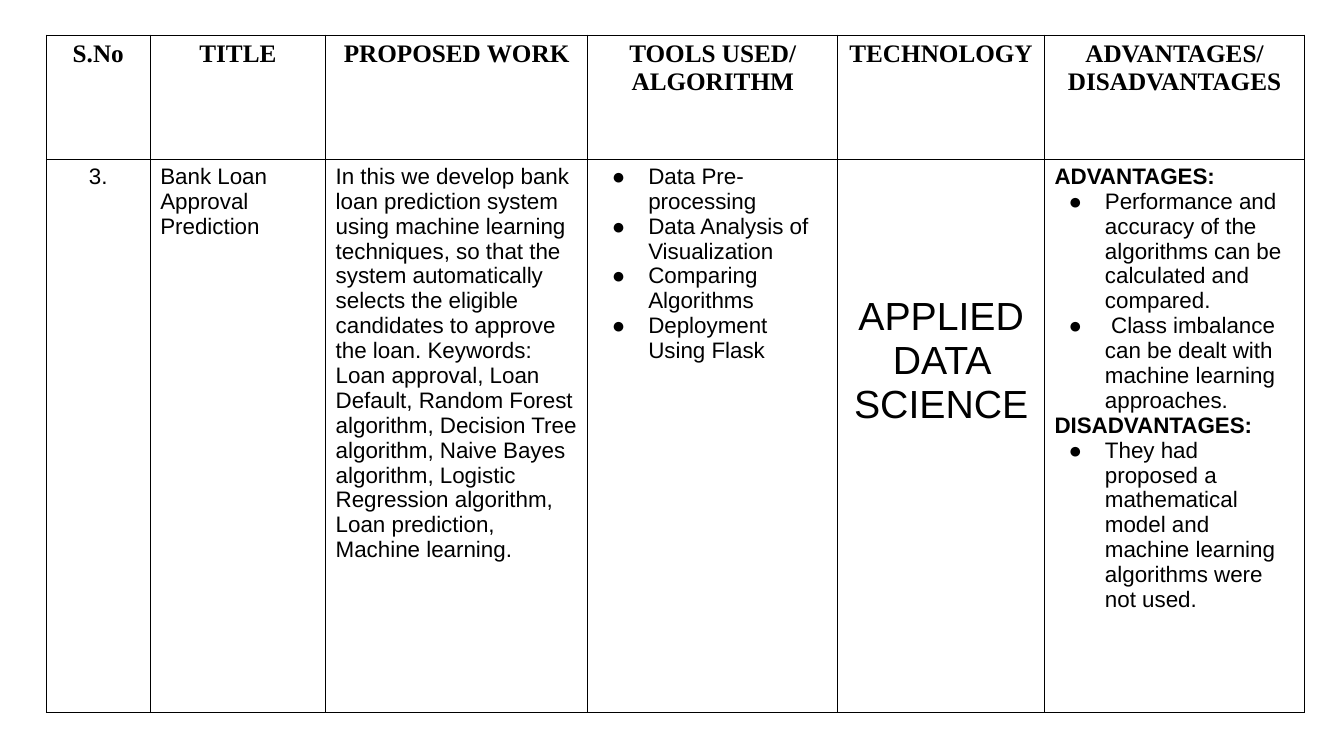
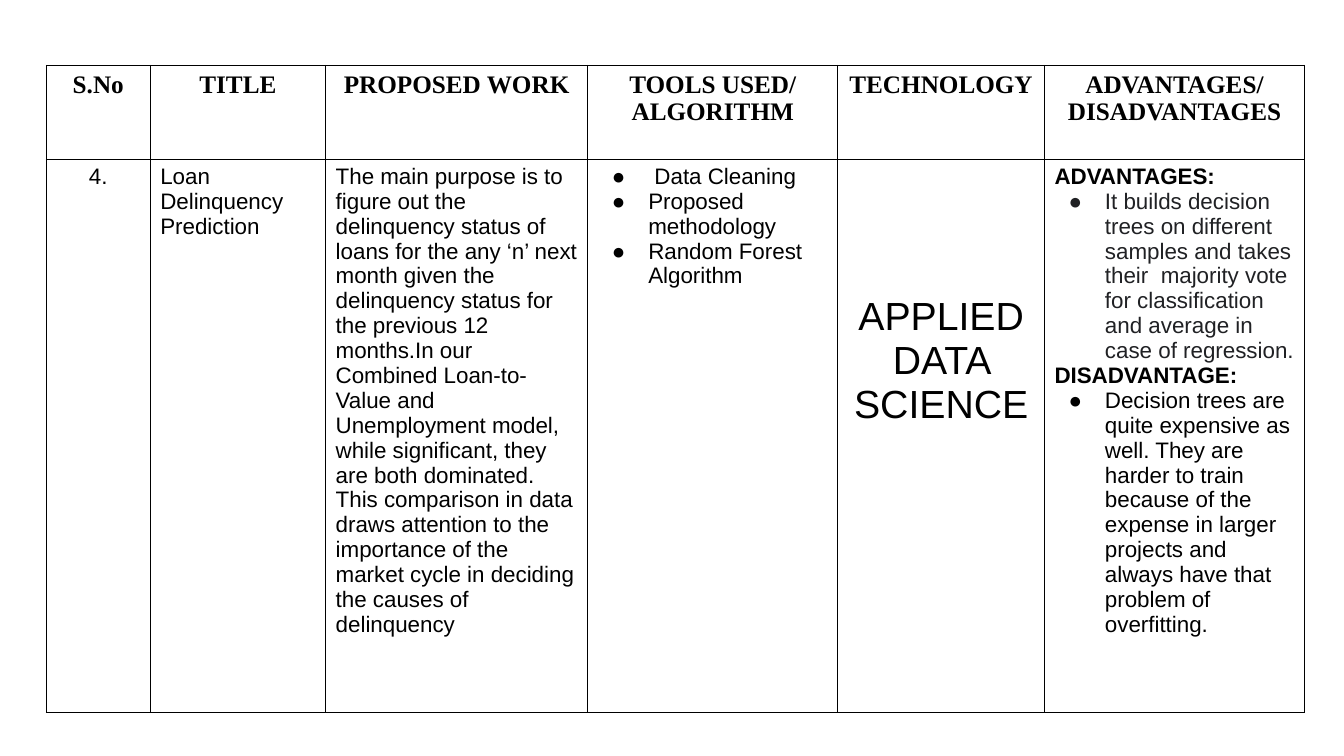
from pptx import Presentation
from pptx.dml.color import RGBColor
from pptx.enum.text import PP_ALIGN
from pptx.oxml.ns import qn
from pptx.util import Inches, Pt
from lxml.etree import SubElement

COLORS = {"text": "000000", "soft": "202124", "border": "000000", "cell": "FFFFFF"}

FORMATS = {
    "header": {"name": "Times New Roman", "size": Pt(18), "bold": True},
    "body": {"name": "Arial", "size": Pt(16), "bold": False},
    "label": {"name": "Arial", "size": Pt(16), "bold": True},
    "large": {"name": "Arial", "size": Pt(28), "bold": False},
}
STYLES = {
    "header": {"format": "header", "align": PP_ALIGN.CENTER},
    "number": {"format": "body", "align": PP_ALIGN.CENTER},
    "body": {"format": "body"},
    "label": {"format": "label"},
    "bullet": {"format": "body", "bullet": True},
    "soft bullet": {"format": "body", "bullet": True, "color": "soft"},
    "large": {"format": "large", "align": PP_ALIGN.CENTER},
}
HEADERS = [
    ["S.No"],
    ["TITLE"],
    ["PROPOSED WORK"],
    ["TOOLS USED/", "ALGORITHM"],
    ["TECHNOLOGY"],
    ["ADVANTAGES/ DISADVANTAGES"],
]
TECHNOLOGY = "APPLIED DATA SCIENCE"
TECHNOLOGY_COLUMN = 4
COLUMN_WIDTHS = [1.03, 1.74, 2.6, 2.48, 2.05, 2.58]
TABLE_LEFT = 0.46
BODY_TOP = 1.58
BODY_HEIGHT = 5.49
TECHNOLOGY_MARGIN = 1.35

PAPERS = [
    {
        "top": 0.35,
        "number": "3.",
        "title": "Bank Loan Approval Prediction",
        "work": "In this we develop bank loan prediction system using machine "
                "learning techniques, so that the system automatically selects the "
                "eligible candidates to approve the loan. Keywords: Loan approval, "
                "Loan Default, Random Forest algorithm, Decision Tree algorithm, "
                "Naive Bayes algorithm, Logistic Regression algorithm, Loan "
                "prediction, Machine learning.",
        "tools": ["Data Pre-processing", "Data Analysis of Visualization",
                  "Comparing Algorithms", "Deployment Using Flask"],
        "review": [
            ("label", "ADVANTAGES:"),
            ("bullet", "Performance and accuracy of the algorithms can be "
                       "calculated and compared."),
            ("bullet", " Class imbalance can be dealt with machine learning "
                       "approaches."),
            ("label", "DISADVANTAGES:"),
            ("bullet", "They had proposed a mathematical model and machine "
                       "learning algorithms were not used."),
        ],
    },
    {
        "top": 0.65,
        "number": "4.",
        "title": "Loan Delinquency Prediction",
        "work": "The main purpose is to figure out the delinquency status of loans "
                "for the any ‘n’ next month given the delinquency status for the "
                "previous 12 months.In our Combined Loan-to-Value and Unemployment "
                "model, while significant, they are both dominated. This comparison "
                "in data draws attention to the importance of the market cycle in "
                "deciding the causes of delinquency",
        "tools": [" Data Cleaning", "Proposed methodology",
                  "Random Forest Algorithm"],
        "review": [
            ("label", "ADVANTAGES:"),
            ("soft bullet", "It builds decision trees on different samples and takes "
                            "their  majority vote for classification and average in "
                            "case of regression."),
            ("label", "DISADVANTAGE:"),
            ("bullet", "Decision trees are quite expensive as well. They are harder "
                       "to train because of the expense in larger projects and "
                       "always have that problem of overfitting."),
        ],
    },
]


class Deck:
    def __init__(self):
        self.presentation = Presentation()
        self.presentation.slide_width = Inches(13.33)
        self.presentation.slide_height = Inches(7.5)
        self.slide = None

    def add_slide(self):
        layout = self.presentation.slide_layouts[6]
        self.slide = self.presentation.slides.add_slide(layout)

    def add_table(self, top, rows, heights):
        shape = self.slide.shapes.add_table(
            len(rows), len(COLUMN_WIDTHS), Inches(TABLE_LEFT), Inches(top),
            Inches(sum(COLUMN_WIDTHS)), Inches(sum(heights)))
        table = shape.table
        table.first_row = table.horz_banding = False
        for column, width in zip(table.columns, COLUMN_WIDTHS):
            column.width = Inches(width)
        for row, height in zip(table.rows, heights):
            row.height = Inches(height)
        for row, contents in zip(table.rows, rows):
            for cell, paragraphs in zip(row.cells, contents):
                self.fill_cell(cell, paragraphs)
        return table

    def fill_cell(self, cell, paragraphs):
        properties = cell._tc.get_or_add_tcPr()
        for side in ("a:lnL", "a:lnR", "a:lnT", "a:lnB"):
            line = SubElement(properties, qn(side), w=str(Pt(1)))
            fill = SubElement(line, qn("a:solidFill"))
            SubElement(fill, qn("a:srgbClr"), val=COLORS["border"])
        cell.fill.solid()
        cell.fill.fore_color.rgb = RGBColor.from_string(COLORS["cell"])
        frame = cell.text_frame
        for index, (style, text) in enumerate(paragraphs):
            paragraph = frame.add_paragraph() if index else frame.paragraphs[0]
            self.set_text(paragraph, text, STYLES[style])

    def set_text(self, paragraph, text, style):
        color = COLORS[style.get("color", "text")]
        paragraph.alignment = style.get("align", PP_ALIGN.LEFT)
        run = paragraph.add_run()
        run.text = text
        for name, value in FORMATS[style["format"]].items():
            setattr(run.font, name, value)
        run.font.color.rgb = RGBColor.from_string(color)
        if style.get("bullet"):
            self.add_bullet(paragraph, color)

    def add_bullet(self, paragraph, color):
        properties = paragraph._p.get_or_add_pPr()
        properties.set("marL", str(Inches(0.5)))
        properties.set("indent", str(Inches(-0.36)))
        bullet_color = SubElement(properties, qn("a:buClr"))
        SubElement(bullet_color, qn("a:srgbClr"), val=color)
        SubElement(properties, qn("a:buFont"), typeface="Arial")
        SubElement(properties, qn("a:buChar"), char="●")


def main():
    deck = Deck()
    header_row = [[("header", text) for text in lines] for lines in HEADERS]
    for paper in PAPERS:
        deck.add_slide()
        paper_row = [
            [("number", paper["number"])],
            [("body", paper["title"])],
            [("body", paper["work"])],
            [("bullet", tool) for tool in paper["tools"]],
            [("large", TECHNOLOGY)],
            paper["review"],
        ]
        heights = [BODY_TOP - paper["top"], BODY_HEIGHT]
        table = deck.add_table(paper["top"], [header_row, paper_row], heights)
        table.cell(1, TECHNOLOGY_COLUMN).margin_top = Inches(TECHNOLOGY_MARGIN)
    deck.presentation.save("out.pptx")


if __name__ == "__main__":
    main()
